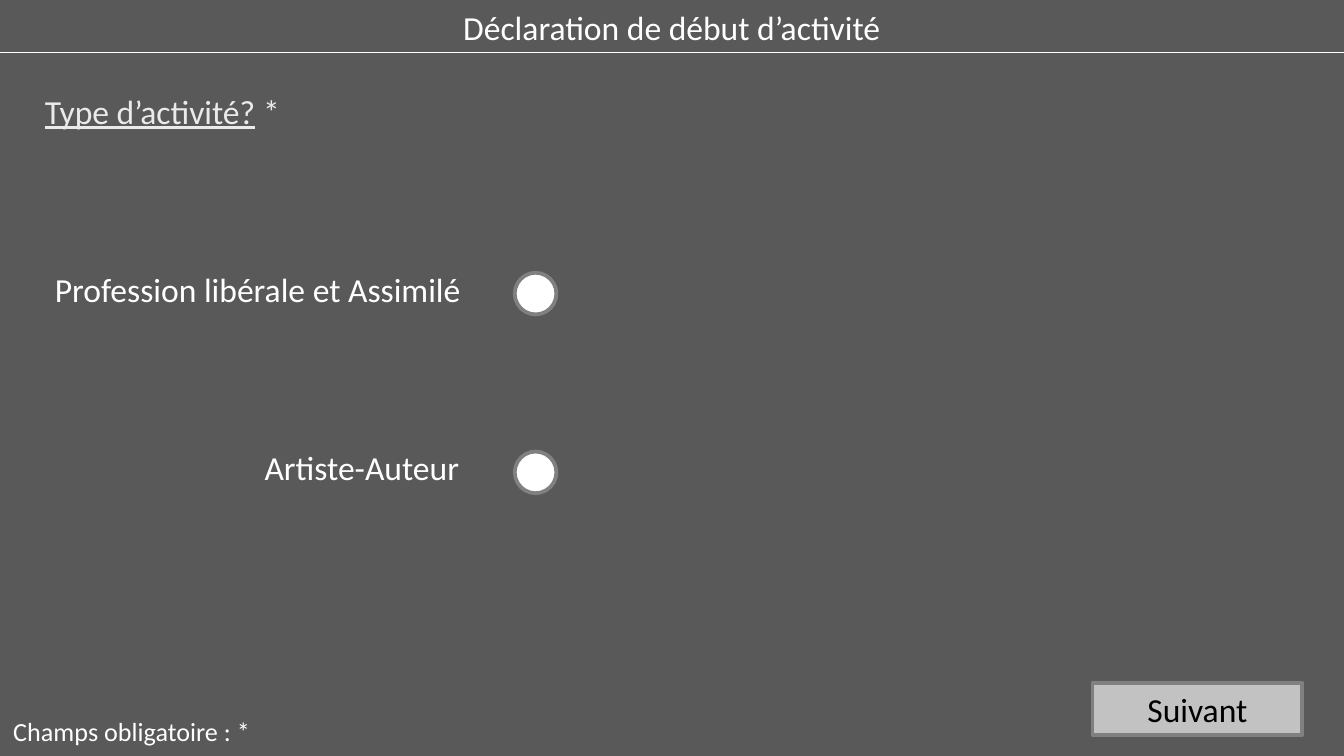
from lxml import etree
from pptx import Presentation
from pptx import util as u
from pptx.dml.color import RGBColor
from pptx.enum import shapes, text
from pptx.oxml.ns import qn

THEME = {
    "font": "Calibri", "body": 18, "note": 14,
    "background": "595959", "white": "FFFFFF", "question": "EAEAEA",
    "button": "C2C2C2", "border": "808080", "black": "000000",
}

# Widescreen slide, 16 by 9
presentation = Presentation()
presentation.slide_width = u.Inches(10)
presentation.slide_height = presentation.slide_width * 9 // 16
slide = presentation.slides.add_slide(presentation.slide_layouts[6])
slide.background.fill.solid()
slide.background.fill.fore_color.rgb = RGBColor.from_string(THEME["background"])

# Square grid: 100 columns across, with rows of the same size
CELL = presentation.slide_width / 100
TEXT_ROWS = 4


def write(runs, left, top, width, height=TEXT_ROWS, size="body", color="white",
          align=text.PP_ALIGN.LEFT):
    """Add one line of text; runs is a list of (words, underlined)."""
    box = slide.shapes.add_textbox(*(round(n * CELL) for n in (left, top, width, height)))
    box.text_frame.word_wrap = True
    box.text_frame.auto_size = text.MSO_AUTO_SIZE.SHAPE_TO_FIT_TEXT
    paragraph = box.text_frame.paragraphs[0]
    paragraph.alignment = align
    for words, underlined in runs:
        run = paragraph.add_run()
        run.text = words
        run.font.name = THEME["font"]
        run.font.size = u.Pt(THEME[size])
        run.font.color.rgb = RGBColor.from_string(THEME[color])
        run.font.underline = underlined


def draw(kind, left, top, width, height, fill):
    """Add a filled shape with the form's grey border."""
    shape = slide.shapes.add_shape(kind, *(round(n * CELL) for n in (left, top, width, height)))
    shape.shadow.inherit = False
    shape.fill.solid()
    shape.fill.fore_color.rgb = RGBColor.from_string(THEME[fill])
    shape.line.color.rgb = RGBColor.from_string(THEME["border"])
    shape.line.width = u.Pt(2)


# Header rule and title
rule_y = round(3.9 * CELL)
rule = slide.shapes.add_connector(shapes.MSO_CONNECTOR.STRAIGHT, 0, rule_y,
                                  round(101.6 * CELL), rule_y)
rule.line.color.rgb = RGBColor.from_string(THEME["white"])
rule.line.width = u.Pt(0.75)
etree.SubElement(rule.element.spPr, qn("a:effectLst"))
write([("Déclaration de début d’activité", False)], 0, 0, 100,
      align=text.PP_ALIGN.CENTER)

# Required-field note and question
write([("Champs obligatoire : *", False)], 0, 52.75, 21.1, 3.4, size="note")
write([("Type d’activité?", True), (" *", False)], 2.35, 6.25, 91.4, color="question")

# Options: labels share a right edge, each followed by a radio button
LABEL_RIGHT, FIRST_TOP, OPTION_STEP = 35.9, 19.5, 13.3
options = [("Profession libérale et Assimilé", 32.8), ("Artiste-Auteur", 17.2)]
for index, (label, width) in enumerate(options):
    top = FIRST_TOP + index * OPTION_STEP
    write([(label, False)], LABEL_RIGHT - width, top, width)
    draw(shapes.MSO_SHAPE.OVAL, 38.3, top + 0.8, 3.1, 3.1, "white")

# Next button
BUTTON_LEFT, BUTTON_TOP, BUTTON_WIDTH = 81.3, 50.8, 15.6
draw(shapes.MSO_SHAPE.RECTANGLE, BUTTON_LEFT, BUTTON_TOP, BUTTON_WIDTH, 3.9, "button")
write([("Suivant", False)], BUTTON_LEFT, BUTTON_TOP, BUTTON_WIDTH, color="black",
      align=text.PP_ALIGN.CENTER)

presentation.save("out.pptx")
